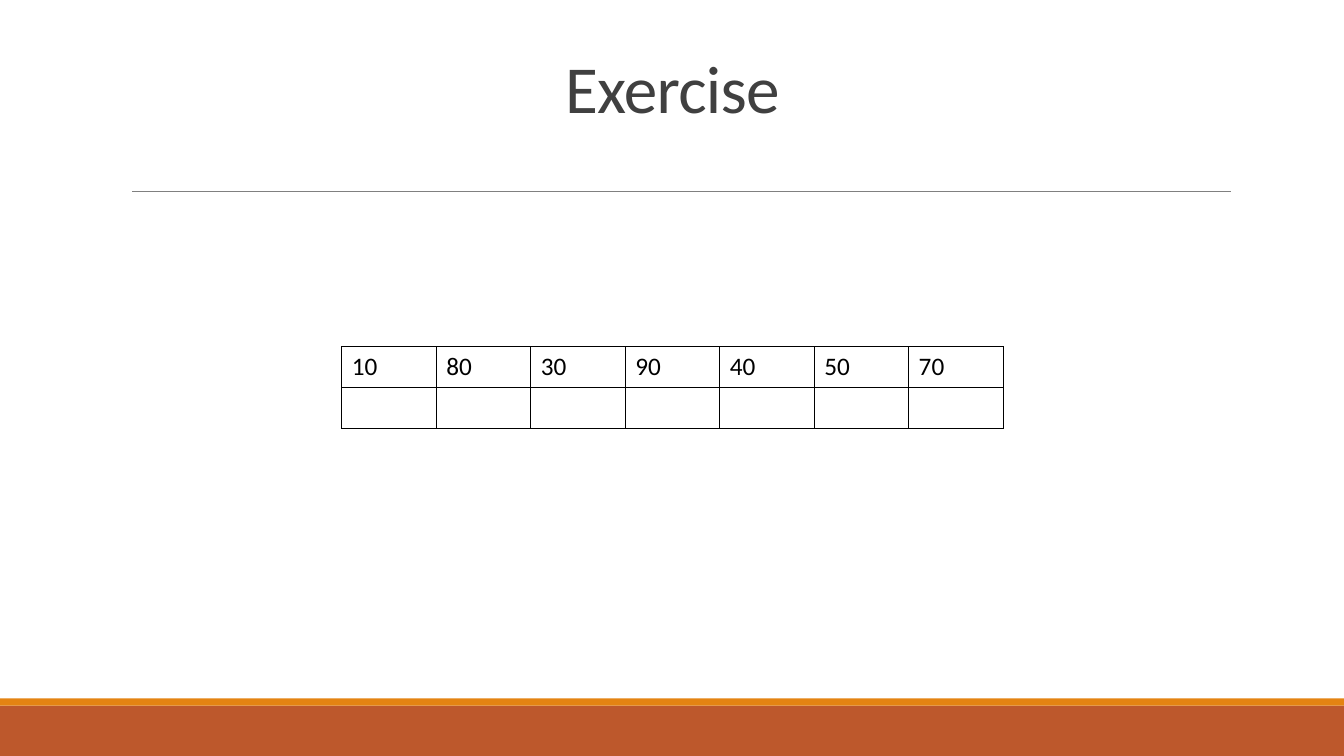
from dataclasses import dataclass

from lxml.etree import SubElement
from pptx import Presentation
from pptx.dml.color import RGBColor as Color
from pptx.enum.shapes import MSO_CONNECTOR as Connector, MSO_SHAPE as Preset
from pptx.enum.text import MSO_ANCHOR as Anchor, PP_ALIGN as Align
from pptx.oxml.ns import qn
from pptx.util import Inches, Pt


@dataclass(frozen=True)
class Theme:
    font: str = "Calibri"
    title_size: int = 48
    cell_size: int = 18
    title: str = "404040"
    text: str = "000000"
    border: str = "000000"
    rule: str = "808080"
    footer: str = "BD582C"
    accent: str = "E48312"


class SlideBuilder:
    def __init__(self, page, theme):
        self.page = page
        self.theme = theme

    def add_span(self, para, text, size, color):
        span = para.add_run()
        span.text = text
        span.font.name = self.theme.font
        span.font.size = Pt(size)
        span.font.color.rgb = Color.from_string(color)
        return span

    def title(self, text, left, top, width, height):
        box = self.page.shapes.title
        box.left, box.top = Inches(left), Inches(top)
        box.width, box.height = Inches(width), Inches(height)
        frame = box.text_frame
        frame.word_wrap = True
        frame.vertical_anchor = Anchor.MIDDLE
        para = frame.paragraphs[0]
        para.alignment = Align.CENTER
        para.line_spacing = 0.85
        span = self.add_span(para, text, self.theme.title_size, self.theme.title)
        span.font._element.set("spc", "-50")

    def band(self, top, height, color):
        """Draw a borderless strip across the whole page."""
        shape = self.page.shapes.add_shape(
            Preset.RECTANGLE, 0, Inches(top), Inches(13.33), Inches(height))
        shape.shadow.inherit = False
        shape.fill.solid()
        shape.fill.fore_color.rgb = Color.from_string(color)
        shape.line.fill.background()

    def rule(self, left, right, top):
        line = self.page.shapes.add_connector(
            Connector.STRAIGHT, Inches(left), Inches(top), Inches(right), Inches(top))
        line.line.color.rgb = Color.from_string(self.theme.rule)
        line.line.width = Pt(0.5)
        SubElement(line._element.spPr, qn("a:effectLst"))

    def border(self, cell):
        properties = cell._tc.get_or_add_tcPr()
        for side in ("lnL", "lnR", "lnT", "lnB"):
            edge = SubElement(properties, qn(f"a:{side}"), w=str(Pt(1)))
            fill = SubElement(edge, qn("a:solidFill"))
            SubElement(fill, qn("a:srgbClr"), val=self.theme.border)

    def table(self, rows, left, top, width, height):
        table = self.page.shapes.add_table(
            len(rows), len(rows[0]), Inches(left), Inches(top),
            Inches(width), Inches(height)).table
        table.first_row = False
        table.horz_banding = False
        for row, values in enumerate(rows):
            for column, value in enumerate(values):
                cell = table.cell(row, column)
                self.border(cell)
                cell.fill.background()
                if value:
                    self.add_span(cell.text_frame.paragraphs[0], value,
                                  self.theme.cell_size, self.theme.text)


def main():
    deck = Presentation()
    deck.slide_width, deck.slide_height = Inches(13.33), Inches(7.5)
    theme = Theme()
    slide = SlideBuilder(deck.slides.add_slide(deck.slide_layouts[5]), theme)

    slide.band(7, 0.5, theme.footer)
    slide.band(6.93, 0.07, theme.accent)
    slide.rule(1.31, 12.21, 1.9)
    slide.title("Exercise", 2.17, 0.3, 9, 1.25)
    numbers = ["10", "80", "30", "90", "40", "50", "70"]
    slide.table([numbers, [""] * len(numbers)], 3.39, 3.44, 6.56, 0.81)

    deck.save("out.pptx")


if __name__ == "__main__":
    main()
